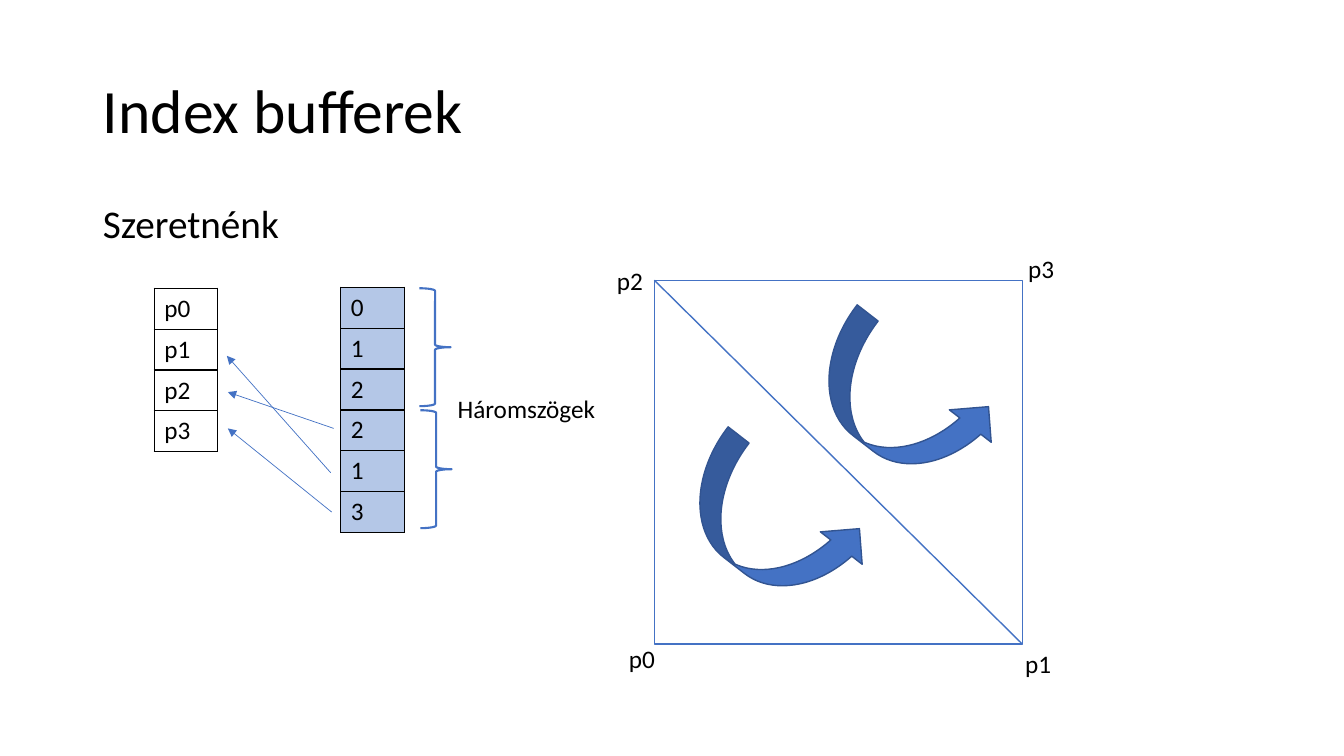
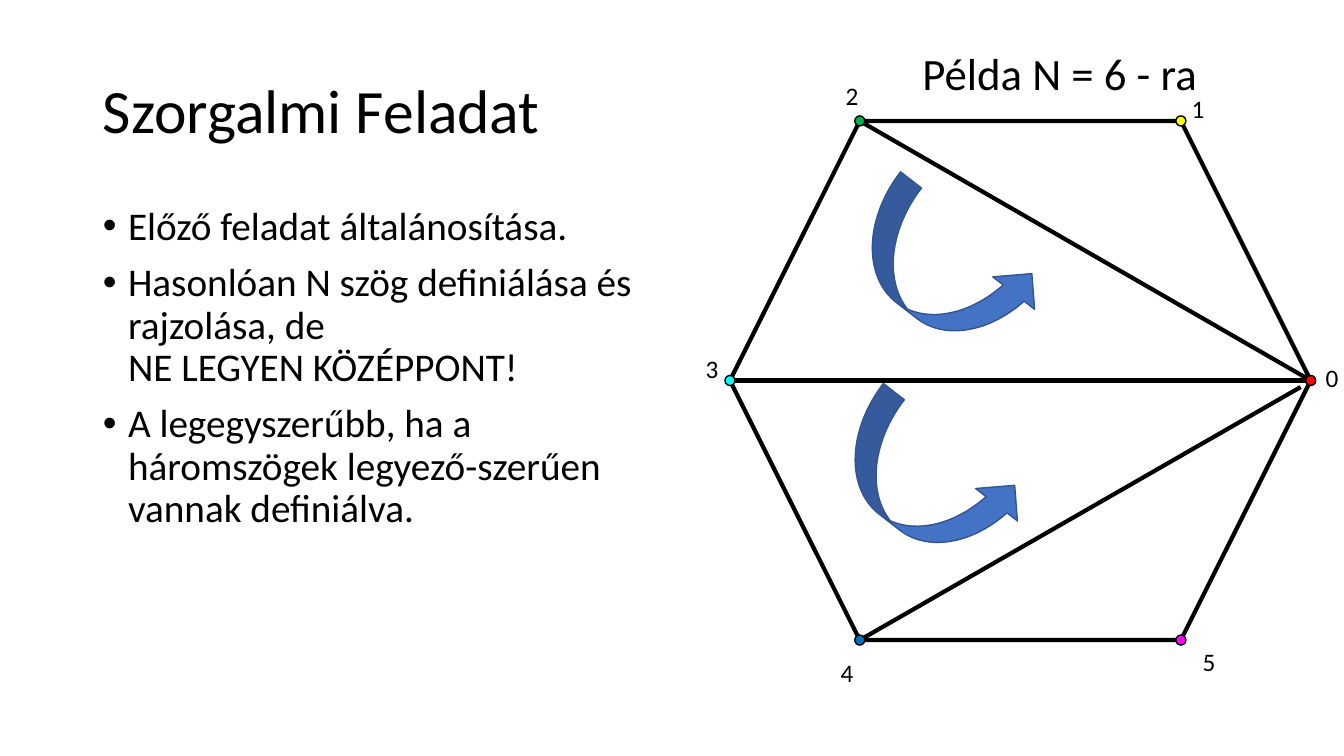
from lxml import etree
from pptx import Presentation
from pptx import util as u
from pptx.dml.color import RGBColor
from pptx.enum import shapes, text
from pptx.oxml import ns

BLACK = RGBColor(0x00, 0x00, 0x00)
WHITE = RGBColor(0xFF, 0xFF, 0xFF)
BLUE = RGBColor(0x44, 0x72, 0xC4)
DARK_BLUE = RGBColor(0x32, 0x54, 0x91)
LIGHT_BLUE = RGBColor(0xB4, 0xC7, 0xE7)
RED = RGBColor(0xFF, 0x00, 0x00)
YELLOW = RGBColor(0xFF, 0xFF, 0x00)
GREEN = RGBColor(0x00, 0xB0, 0x50)
CYAN = RGBColor(0x00, 0xFF, 0xFF)
SEA_BLUE = RGBColor(0x00, 0x70, 0xC0)
MAGENTA = RGBColor(0xFF, 0x00, 0xFF)
FONT = "Calibri"


def grid(*cells):
    """Turn columns and rows of a one-inch grid into slide lengths."""
    return [u.Inches(cell) for cell in cells]


def write(frame, content, size=18, line_spacing=1.0, before=0, hanging=None):
    """Fill a text frame, one paragraph per line of the content."""
    for index, words in enumerate(content.split("\n")):
        paragraph = frame.add_paragraph() if index else frame.paragraphs[0]
        paragraph.text = words
        paragraph.alignment = text.PP_ALIGN.LEFT
        paragraph.line_spacing = line_spacing
        paragraph.space_before = u.Pt(before)
        for run in paragraph.runs:
            run.font.name = FONT
            run.font.size = u.Pt(size)
            run.font.color.rgb = BLACK
        if hanging is not None:
            properties = paragraph._p.get_or_add_pPr()
            properties.set("marL", str(u.Inches(hanging)))
            properties.set("indent", str(-u.Inches(hanging)))
            if hanging:
                bullet = etree.SubElement(properties, ns.qn("a:buChar"))
                bullet.set("char", "•")
            else:
                etree.SubElement(properties, ns.qn("a:buNone"))


presentation = Presentation()
presentation.slide_width, presentation.slide_height = grid(13.33, 7.5)

# Slides with title and body
layout = presentation.slide_layouts[1]
slides = []
for title, body, body_box in (
    ("Index bufferek", "Szeretnénk", (0.92, 1.98, 1.97, 0.53)),
    ("Szorgalmi Feladat",
     "Előző feladat általánosítása.\n"
     "Hasonlóan N szög definiálása és rajzolása, de\vNE LEGYEN KÖZÉPPONT!\n"
     "A legegyszerűbb, ha a háromszögek legyező-szerűen vannak definiálva.",
     (0.92, 2, 5.95, 4.76)),
):
    slide = presentation.slides.add_slide(layout)
    slides.append(slide)
    for holder, box in zip(slide.placeholders, ((0.92, 0.4, 11.5, 1.45), body_box)):
        holder.left, holder.top, holder.width, holder.height = grid(*box)
        holder.text_frame.auto_size = text.MSO_AUTO_SIZE.NONE
    title_frame, body_frame = [holder.text_frame for holder in slide.placeholders]
    title_frame.vertical_anchor = text.MSO_ANCHOR.MIDDLE
    write(title_frame, title, size=44, line_spacing=0.9)
    single = "\n" not in body
    body_frame.word_wrap = not single
    write(body_frame, body, size=28, line_spacing=0.9, before=10,
          hanging=0 if single else 0.25)
buffers, polygon = slides

# Vertex and index tables
ROW = 0.405
for left, top, values, fill in (
    (1.53, 2.86, ("p0", "p1", "p2", "p3"), WHITE),
    (3.38, 2.85, "012213", LIGHT_BLUE),
):
    table = buffers.shapes.add_table(
        len(values), 1, *grid(left, top, 0.63, ROW * len(values))).table
    table.first_row = table.horz_banding = False
    for row, value in enumerate(values):
        cell = table.cell(row, 0)
        write(cell.text_frame, value)
        for side in ("a:lnL", "a:lnR", "a:lnT", "a:lnB"):
            border = etree.SubElement(
                cell._tc.get_or_add_tcPr(), ns.qn(side), w=str(u.Pt(1)))
            paint = etree.SubElement(border, ns.qn("a:solidFill"))
            etree.SubElement(paint, ns.qn("a:srgbClr"), val=str(BLACK))
        cell.fill.solid()
        cell.fill.fore_color.rgb = fill

# Corners of the square and of the hexagon
SQUARE = (6.49, 2.78, 3.65, 3.61)
left, top, width, height = SQUARE
square_p1, square_p2 = (left + width, top + height), (left, top)

HEXAGON = (7.24, 1.2, 5.76, 5.15)
left, top, width, height = HEXAGON
inset, right, middle, bottom = height / 4, left + width, top + height / 2, top + height
corners = [(right, middle), (right - inset, top), (left + inset, top),
           (left, middle), (left + inset, bottom), (right - inset, bottom)]

# Shapes: outlines, turning arrows and hexagon corners
KIND = shapes.MSO_SHAPE
TURN = KIND.CURVED_RIGHT_ARROW
DOT = 0.1
figures = [
    (buffers, KIND.RECTANGLE, SQUARE, None, BLUE, 1),
    (buffers, KIND.RIGHT_BRACE, (4.16, 2.86, 0.31, 1.17), None, BLUE, 1.5),
    (buffers, KIND.RIGHT_BRACE, (4.17, 4.07, 0.31, 1.17), None, BLUE, 1.5),
    (polygon, KIND.HEXAGON, HEXAGON, None, BLACK, 3),
]
for slide, left, top in ((buffers, 7.13, 4.28), (buffers, 8.41, 3.07),
                         (polygon, 8.84, 1.75), (polygon, 8.67, 3.85)):
    figures.append((slide, TURN, (left, top, 1.05, 1.91), BLUE, DARK_BLUE, 1))
dots = [
    (polygon, KIND.OVAL, (x - DOT / 2, y - DOT / 2, DOT, DOT), color, BLACK, 1)
    for (x, y), color in zip(corners, (RED, YELLOW, GREEN, CYAN, SEA_BLUE, MAGENTA))
]

# Lines: diagonals and index references
for slide, start, end, color, weight, arrow in (
    (buffers, square_p1, square_p2, BLUE, 1, False),
    (buffers, (3.31, 4.25), (2.26, 3.89), BLUE, 0.5, True),
    (buffers, (3.28, 4.69), (2.25, 3.53), BLUE, 0.5, True),
    (buffers, (3.29, 5.08), (2.26, 4.25), BLUE, 0.5, True),
    (polygon, corners[2], corners[0], BLACK, 3, False),
    (polygon, corners[0], corners[3], BLACK, 3, False),
    (polygon, (12.9, 3.84), corners[4], BLACK, 3, False),
):
    line = slide.shapes.add_connector(
        shapes.MSO_CONNECTOR.STRAIGHT, *grid(*start, *end))
    line.line.color.rgb = color
    line.line.width = u.Pt(weight)
    if arrow:
        etree.SubElement(line.line._get_or_add_ln(), ns.qn("a:tailEnd"), type="triangle")
    etree.SubElement(line._element.spPr, ns.qn("a:effectLst"))

for slide, kind, box, fill, color, weight in figures + dots:
    shape = slide.shapes.add_shape(kind, *grid(*box))
    shape.shadow.inherit = False
    shape.line.color.rgb = color
    shape.line.width = u.Pt(weight)
    if fill is None:
        shape.fill.background()
    else:
        shape.fill.solid()
        shape.fill.fore_color.rgb = fill
    if kind == TURN:
        shape.rotation = 307.8

# Labels
for slide, label, left, top, width, height, size in (
    (buffers, "p0", 6.14, 6.33, 0.46, 0.4, 18),
    (buffers, "p1", 10.07, 6.38, 0.46, 0.4, 18),
    (buffers, "p2", 6.02, 2.58, 0.46, 0.4, 18),
    (buffers, "p3", 10.1, 2.46, 0.46, 0.4, 18),
    (buffers, "Háromszögek", 4.44, 3.85, 1.58, 0.4, 18),
    (polygon, "0", 13.05, 3.55, 0.33, 0.4, 18),
    (polygon, "1", 11.72, 0.88, 0.33, 0.4, 18),
    (polygon, "2", 8.29, 0.75, 0.33, 0.4, 18),
    (polygon, "3", 6.9, 3.46, 0.33, 0.4, 18),
    (polygon, "4", 8.24, 6.47, 0.33, 0.4, 18),
    (polygon, "5", 11.83, 6.36, 0.33, 0.4, 18),
    (polygon, "Példa N = 6 - ra", 9.05, 0.4, 2.95, 0.64, 32),
):
    frame = slide.shapes.add_textbox(*grid(left, top, width, height)).text_frame
    frame.word_wrap = False
    frame.auto_size = text.MSO_AUTO_SIZE.SHAPE_TO_FIT_TEXT
    write(frame, label, size=size)

presentation.save("out.pptx")
